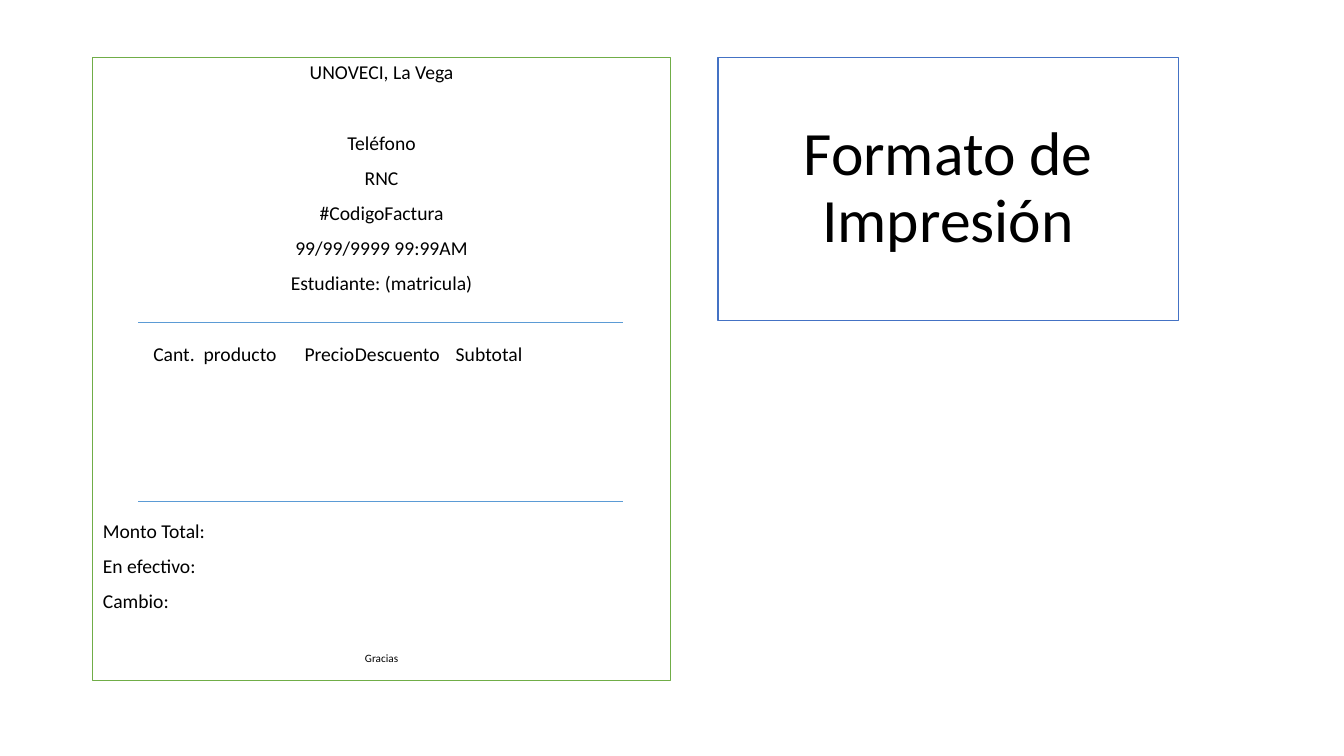
"""Build the invoice print format slide."""
from dataclasses import dataclass

from lxml import etree
from pptx import Presentation
from pptx.dml.color import RGBColor
from pptx.enum import shapes, text
from pptx.oxml import ns
from pptx.util import Inches, Pt


@dataclass(frozen=True)
class Theme:
    font: str = "Calibri"
    ink: str = "000000"
    paper: str = "FFFFFF"
    green: str = "70AD47"
    blue: str = "4472C4"
    rule: str = "5B9BD5"
    title: int = 44
    body: int = 14
    small: int = 8
    gap: int = 10
    pitch: float = 25.3


@dataclass(frozen=True)
class Row:
    words: str
    skip: float = 0
    left: bool = False
    size: int = 14
    tabs: tuple = ()


T = Theme()
COLS = {"Cant.": 0.22, "producto": 1.04, "Precio": 2.63,
        "Descuento": 3.48, "Subtotal": 4.63}
ROWS = [
    Row("UNOVECI, La Vega"),
    Row("Teléfono", skip=1),
    Row("RNC"),
    Row("#CodigoFactura"),
    Row("99/99/9999 99:99AM"),
    Row("Estudiante: (matricula)"),
    Row("".join("\t" + name for name in COLS), skip=1, left=True,
        tabs=tuple(COLS.values())),
    Row("Monto Total:", skip=4, left=True),
    Row("En efectivo:", left=True),
    Row("Cambio:", left=True),
    Row("Gracias", skip=0.74, size=T.small),
]


def tint(hue: str) -> RGBColor:
    """Turn a hex string into a colour."""
    return RGBColor.from_string(hue)


def frame(box, hue: str, x: float, y: float, w: float, h: float) -> None:
    """Place a placeholder and give it a white fill and an outline."""
    box.left, box.top, box.width, box.height = map(Inches, (x, y, w, h))
    box.fill.solid()
    box.fill.fore_color.rgb = tint(T.paper)
    box.line.color.rgb = tint(hue)
    box.line.width = Pt(1)
    box.text_frame.word_wrap = True
    box.text_frame.auto_size = text.MSO_AUTO_SIZE.NONE


def style(para, size: int, left: bool = False) -> None:
    """Format a paragraph and its runs."""
    para.alignment = text.PP_ALIGN.LEFT if left else text.PP_ALIGN.CENTER
    para.line_spacing = 0.9
    for run in para.runs:
        run.font.name = T.font
        run.font.size = Pt(size)
        run.font.color.rgb = tint(T.ink)


def fill(para, row: Row) -> None:
    """Write one receipt row, without a bullet and with its tab stops."""
    para.text = row.words
    style(para, row.size, row.left)
    para.space_before = Pt(round(T.gap + row.skip * T.pitch, 1))
    props = para._p.get_or_add_pPr()
    props.set("marL", "0")
    props.set("indent", "0")
    etree.SubElement(props, ns.qn("a:buNone"))
    if row.tabs:
        stops = etree.SubElement(props, ns.qn("a:tabLst"))
        for pos in row.tabs:
            etree.SubElement(stops, ns.qn("a:tab"), pos=str(Inches(pos)), algn="l")


def rule(slide, y: float) -> None:
    """Draw a thin rule across the receipt."""
    line = slide.shapes.add_connector(
        shapes.MSO_CONNECTOR.STRAIGHT,
        Inches(1.37), Inches(y), Inches(6.18), Inches(y))
    line.line.color.rgb = tint(T.rule)
    line.line.width = Pt(0.5)
    etree.SubElement(line._element.spPr, ns.qn("a:effectLst"))


def main() -> None:
    """Assemble and save the slide."""
    deck = Presentation()
    deck.slide_width, deck.slide_height = Inches(13.33), Inches(7.5)
    slide = deck.slides.add_slide(deck.slide_layouts[1])
    title, body = slide.shapes.title, slide.placeholders[1]

    frame(body, T.green, 0.92, 0.57, 5.73, 6.18)
    page = body.text_frame
    for num, row in enumerate(ROWS):
        fill(page.add_paragraph() if num else page.paragraphs[0], row)
    for y in (3.2, 4.97):
        rule(slide, y)

    frame(title, T.blue, 7.12, 0.57, 4.57, 2.61)
    title.text_frame.text = "Formato de Impresión"
    title.text_frame.vertical_anchor = text.MSO_ANCHOR.MIDDLE
    style(title.text_frame.paragraphs[0], T.title)
    deck.save("out.pptx")


main()
